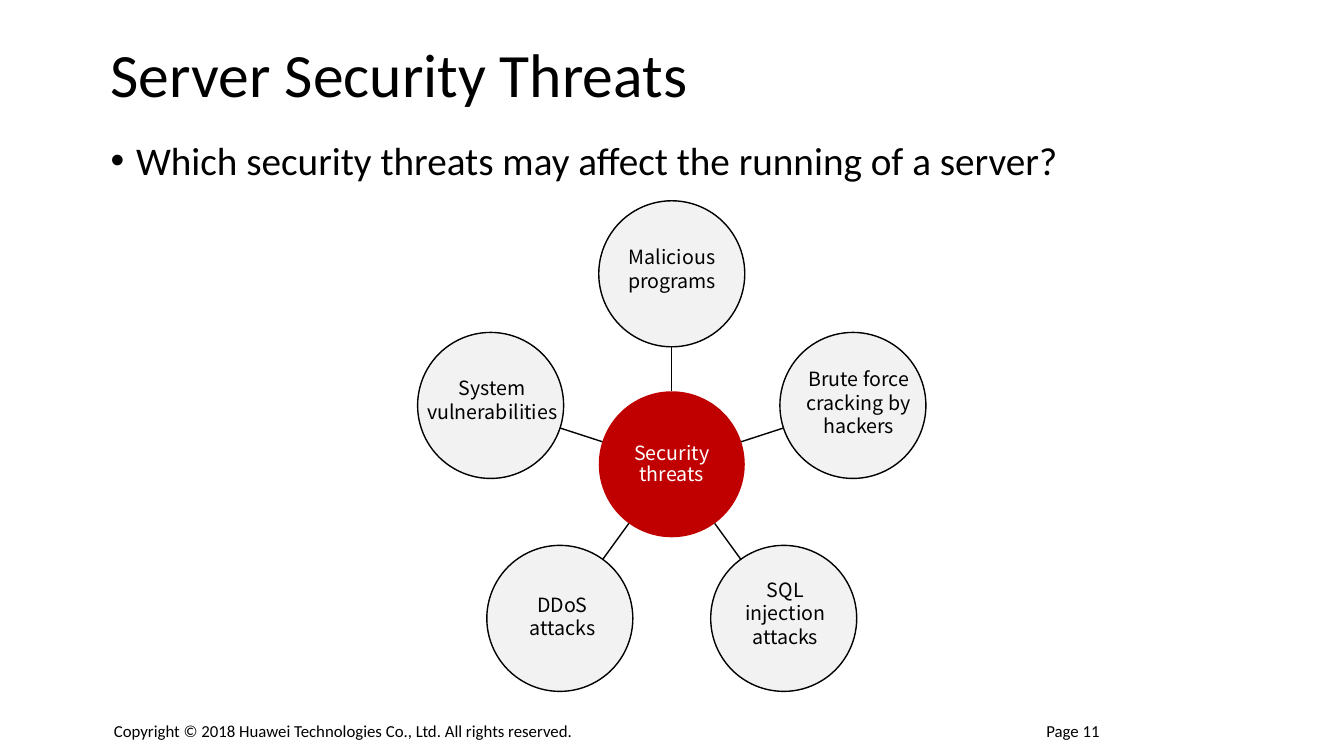
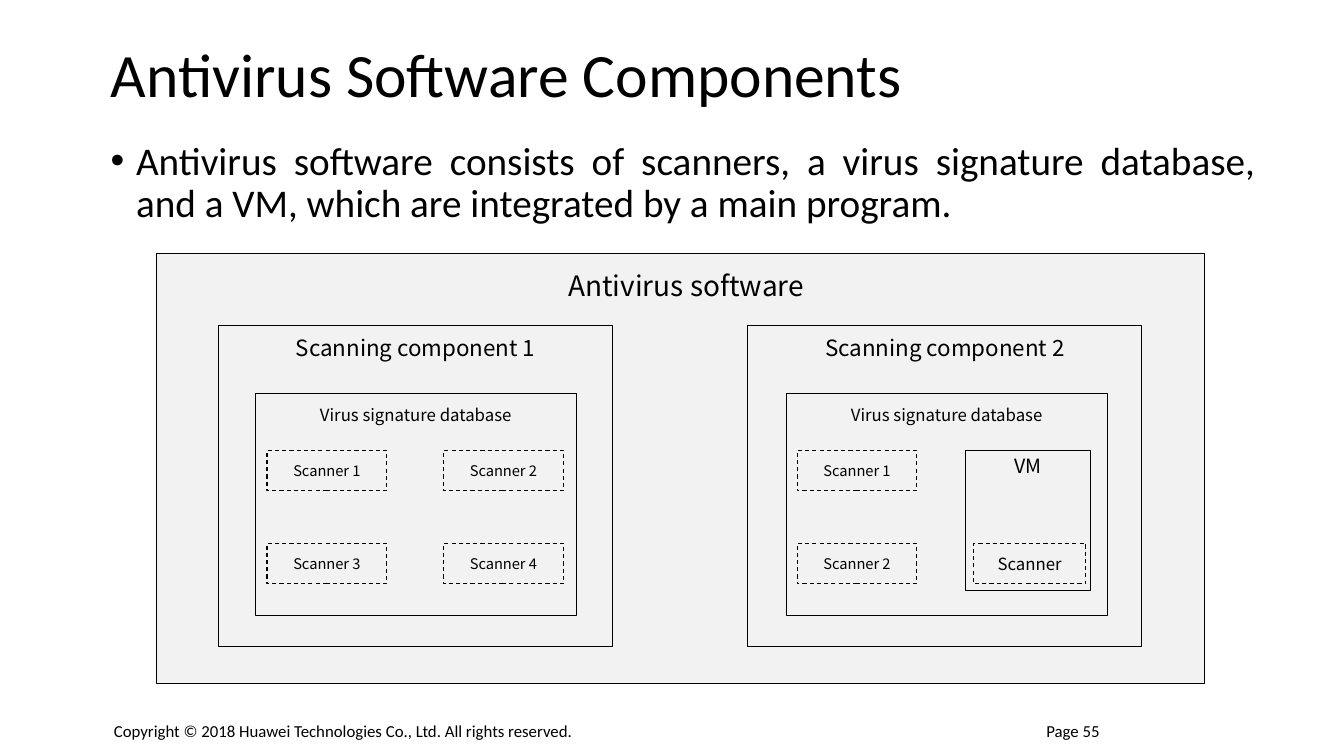
"""Build two slides on server security threats and antivirus software."""
from dataclasses import dataclass
from math import cos, radians, sin
from typing import Optional

from lxml import etree
from pptx import Presentation
from pptx import util as u
from pptx.dml.color import RGBColor
from pptx.enum import dml, shapes, text
from pptx.oxml.ns import qn

COLORS = {"ink": "000000", "paper": "FFFFFF", "panel": "F2F2F2", "core": "C00000"}
MAIN = "Calibri"
LABEL = "Noto Sans CJK SC"
LEFT, CENTER, FULL = text.PP_ALIGN.LEFT, text.PP_ALIGN.CENTER, text.PP_ALIGN.JUSTIFY
TOP, MIDDLE = text.MSO_ANCHOR.TOP, text.MSO_ANCHOR.MIDDLE
RECT, OVAL = shapes.MSO_SHAPE.RECTANGLE, shapes.MSO_SHAPE.OVAL
PAD = (0.28, 0.13, 0.28, 0.13)
SLIM = (0.23, 0.1, 0.23, 0.1)
HUB_X, HUB_Y, RADIUS, REACH = 16.93, 11.7, 1.84, 4.8


@dataclass
class Area:
    left: float
    top: float
    width: float
    height: float

    def cm(self) -> tuple:
        return tuple(u.Cm(n) for n in (self.left, self.top, self.width, self.height))


@dataclass
class Style:
    size: float
    font: str = LABEL
    color: str = "ink"
    align: text.PP_ALIGN = CENTER
    anchor: text.MSO_ANCHOR = TOP
    pad: tuple = PAD
    spacing: Optional[float] = None


@dataclass
class Threat:
    angle: int
    label: str
    area: Area


@dataclass
class Box:
    label: str
    area: Area
    size: float
    inset: Optional[float] = None
    shift: float = 0
    dashed: bool = False


TITLE = Style(44, MAIN, align=LEFT, anchor=MIDDLE, pad=(0.25, 0.13, 0.25, 0.13), spacing=0.9)
BODY = Style(28, MAIN, align=FULL, pad=(0.25, 0.13, 0.25, 0.13), spacing=0.9)
FOOT = Style(12, MAIN, align=LEFT, pad=SLIM)
CORE = Style(14, color="paper", anchor=MIDDLE, pad=(0.03,) * 4, spacing=0.9)
NOTICE = "Copyright © 2018 Huawei Technologies Co., Ltd. All rights reserved."

THREATS = [
    Threat(-90, "Malicious programs", Area(15.49, 6.05, 2.9, 2.08)),
    Threat(-18, "Brute force cracking by hackers", Area(20.04, 9.12, 3.2, 2.67)),
    Threat(54, "SQL injection attacks", Area(18.34, 14.43, 2.9, 2.67)),
    Threat(126, "DDoS attacks", Area(12.93, 14.81, 2.49, 2.08)),
    Threat(198, "System vulnerabilities", Area(10.44, 9.35, 3.94, 2.08)),
]


def rgb(name: str) -> RGBColor:
    return RGBColor.from_string(COLORS[name])


def write(shape, words: str, style: Style) -> None:
    frame = shape.text_frame
    frame.text = words
    frame.word_wrap = True
    frame.auto_size = text.MSO_AUTO_SIZE.NONE
    frame.vertical_anchor = style.anchor
    (frame.margin_left, frame.margin_top,
     frame.margin_right, frame.margin_bottom) = (u.Cm(n) for n in style.pad)
    para = frame.paragraphs[0]
    para.alignment = style.align
    para.space_before = u.Pt(0)
    if style.spacing:
        para.line_spacing = style.spacing
    for run in para.runs:
        run.font.name = style.font
        run.font.size = u.Pt(style.size)
        run.font.color.rgb = rgb(style.color)


def place(shape, area: Area) -> None:
    shape.left, shape.top, shape.width, shape.height = area.cm()


def note(slide, words: str, area: Area, style: Style) -> None:
    write(slide.shapes.add_textbox(*area.cm()), words, style)


def draw(slide, kind: shapes.MSO_SHAPE, area: Area, fill: str, line: float = 0):
    shape = slide.shapes.add_shape(kind, *area.cm())
    shape.shadow.inherit = False
    shape.fill.solid()
    shape.fill.fore_color.rgb = rgb(fill)
    if line:
        shape.line.color.rgb = rgb("ink")
        shape.line.width = u.Pt(line)
    else:
        shape.line.fill.background()
    return shape


def start(deck, title: str, point: str, page: int):
    slide = deck.slides.add_slide(deck.slide_layouts[1])
    head, body = slide.shapes.title, slide.placeholders[1]
    place(head, Area(2.54, 0.74, 29.34, 2.41))
    write(head, title, TITLE)
    place(body, Area(2.54, 3.43, 29.34, 13.06))
    write(body, point, BODY)
    props = body.text_frame.paragraphs[0]._p.get_or_add_pPr()
    props.set("marL", str(u.Cm(0.64)))
    props.set("indent", str(u.Cm(-0.64)))
    etree.SubElement(props, qn("a:buFont")).set("typeface", "Arial")
    etree.SubElement(props, qn("a:buChar")).set("char", "•")
    note(slide, f"Page {page}", Area(26.14, 18.06, 2.5, 0.74), FOOT)
    note(slide, NOTICE, Area(2.64, 18.06, 13.39, 0.74), FOOT)
    return slide


def polar(angle: int, reach: float) -> tuple[float, float]:
    turn = radians(angle)
    return HUB_X + reach * cos(turn), HUB_Y + reach * sin(turn)


def disc(slide, x: float, y: float, fill: str, line: float = 0):
    area = Area(x - RADIUS, y - RADIUS, 2 * RADIUS, 2 * RADIUS)
    return draw(slide, OVAL, area, fill, line)


def spoke(slide, angle: int) -> None:
    ends = polar(angle, RADIUS) + polar(angle, REACH - RADIUS)
    line = slide.shapes.add_connector(
        shapes.MSO_CONNECTOR.STRAIGHT, *(u.Cm(n) for n in ends))
    line.line.color.rgb = rgb("ink")
    line.line.width = u.Pt(1)
    etree.SubElement(line._element.spPr, qn("a:effectLst"))


def wheel(slide) -> None:
    write(disc(slide, HUB_X, HUB_Y, "core"), "Security threats", CORE)
    for threat in THREATS:
        spoke(slide, threat.angle)
        disc(slide, *polar(threat.angle, REACH), "panel", 1)
        note(slide, threat.label, threat.area, Style(14))


def scanner(label: str, left: float, row: int, width: float = 3.02, size: float = 10.5) -> Box:
    return Box(label, Area(left, 11.35 + 2.34 * row, width, 1.02), size, dashed=True)


def layers() -> list[Box]:
    boxes = [Box("Antivirus software", Area(3.94, 6.38, 26.42, 10.85), 20, 0.38, 0.28)]
    for num, (left, inner) in enumerate([(5.51, 6.43), (18.85, 19.81)], 1):
        boxes += [
            Box(f"Scanning component {num}", Area(left, 8.2, 9.93, 8.1), 16, 0.23),
            Box("Virus signature database", Area(inner, 9.91, 8.1, 5.61), 12, 0.3),
        ]
    boxes += [scanner(f"Scanner {n + 1}", 6.73 + 4.45 * (n % 2), n // 2) for n in range(4)]
    boxes += [scanner(f"Scanner {n + 1}", 20.09, n) for n in range(2)]
    boxes += [
        Box("VM", Area(24.33, 11.35, 3.15, 3.53), 14, 0.1),
        scanner("Scanner", 24.54, 1, 2.82, 12),
    ]
    return boxes


def stack(slide) -> None:
    for box in layers():
        shape = draw(slide, RECT, box.area, "panel", 0.75)
        if box.dashed:
            shape.line.dash_style = dml.MSO_LINE.DASH
        if box.inset is None:
            style = Style(box.size, anchor=MIDDLE)
        else:
            style = Style(box.size, pad=(0.28 + box.shift, box.inset, 0.28, 0.13))
        write(shape, box.label, style)


def main() -> None:
    deck = Presentation()
    deck.slide_width, deck.slide_height = u.Cm(33.87), u.Cm(19.05)
    wheel(start(deck, "Server Security Threats",
                "Which security threats may affect the running of a server?", 11))
    stack(start(deck, "Antivirus Software Components",
                "Antivirus software consists of scanners, a virus signature database, "
                "and a VM, which are integrated by a main program.", 55))
    deck.save("out.pptx")


if __name__ == "__main__":
    main()
